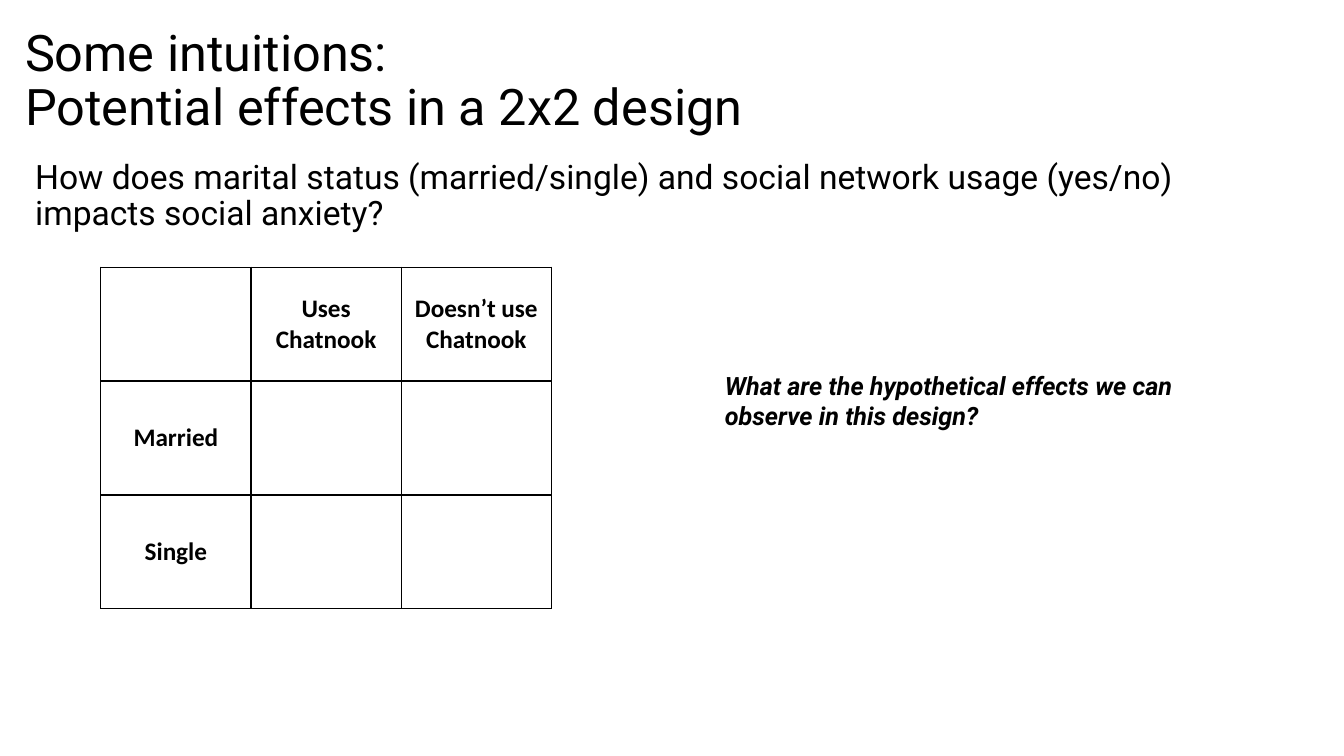
from lxml import etree
from pptx import Presentation
from pptx import util as u
from pptx.dml.color import RGBColor
from pptx.enum import text
from pptx.oxml.ns import qn

PX = 9144  # EMU per px, 100 px to the inch
COLORS = {"ink": "000000", "paper": "FFFFFF"}


def write(tf, paragraphs, size=18, font="Roboto", color="ink", bold=False,
          italic=False, align=text.PP_ALIGN.LEFT, spacing=1.0):
    """Fill a text frame; a paragraph is a list of lines."""
    tf.word_wrap = True
    for i, lines in enumerate(paragraphs):
        p = tf.add_paragraph() if i else tf.paragraphs[0]
        p.alignment, p.line_spacing = align, spacing
        for j, line in enumerate(lines):
            if j:
                p.add_line_break()
            r = p.add_run()
            r.text = line
            f = r.font
            f.name, f.size, f.bold, f.italic = font, u.Pt(size), bold, italic
            f.color.rgb = RGBColor.from_string(COLORS[color])


class Deck:
    def __init__(self, width, height):
        self.prs = Presentation()
        self.prs.slide_width = u.Emu(width * PX)
        self.prs.slide_height = u.Emu(height * PX)
        self.s = self.prs.slides.add_slide(self.prs.slide_layouts[6])
        fill = self.s.background.fill
        fill.solid()
        fill.fore_color.rgb = RGBColor.from_string(COLORS["paper"])

    def box(self, at, paragraphs, anchor=text.MSO_ANCHOR.TOP, **style):
        sp = self.s.shapes.add_textbox(*(u.Emu(v * PX) for v in at))
        sp.text_frame.vertical_anchor = anchor
        write(sp.text_frame, paragraphs, **style)

    def border(self, cell, color="ink", width=1):
        tc_pr = cell._tc.get_or_add_tcPr()
        for side in ("lnL", "lnR", "lnT", "lnB"):
            ln = etree.SubElement(tc_pr, qn(f"a:{side}"), w=str(u.Pt(width)))
            fill = etree.SubElement(ln, qn("a:solidFill"))
            etree.SubElement(fill, qn("a:srgbClr"), val=COLORS[color])

    def table(self, left, top, col_width, row_height, rows, **style):
        n_rows, n_cols = len(rows), len(rows[0])
        size = (left, top, col_width * n_cols, row_height * n_rows)
        tbl = self.s.shapes.add_table(
            n_rows, n_cols, *(u.Emu(v * PX) for v in size)).table
        tbl.first_row = tbl.horz_banding = False
        for col in tbl.columns:
            col.width = u.Emu(col_width * PX)
        for i, row in enumerate(rows):
            tbl.rows[i].height = u.Emu(row_height * PX)
            for j, paragraphs in enumerate(row):
                cell = tbl.cell(i, j)
                self.border(cell)
                cell.fill.background()
                cell.vertical_anchor = text.MSO_ANCHOR.MIDDLE
                if paragraphs:
                    write(cell.text_frame, paragraphs, **style)


def main():
    deck = Deck(1333, 750)

    # Title and research question
    deck.box((15, 9, 1226, 145),
             [["Some intuitions:", "Potential effects in a 2x2 design"]],
             anchor=text.MSO_ANCHOR.MIDDLE, size=36, spacing=0.9)
    deck.box((25, 154, 1258, 559),
             [["How does marital status (married/single) and social network "
               "usage (yes/no) impacts social anxiety?"]],
             size=24, spacing=0.9)

    # 2x2 design
    deck.table(100, 265, 149, 113, [
        [None, [["Uses"], ["Chatnook"]], [["Doesn’t use Chatnook"]]],
        [[["Married"]], None, None],
        [[["Single"]], None, None],
    ], font="Calibri", bold=True, align=text.PP_ALIGN.CENTER)

    # Prompt to the audience
    deck.box((709, 362, 519, 71),
             [["What are the hypothetical effects we can observe in this "
               "design?"]],
             bold=True, italic=True)

    deck.prs.save("out.pptx")


if __name__ == "__main__":
    main()
